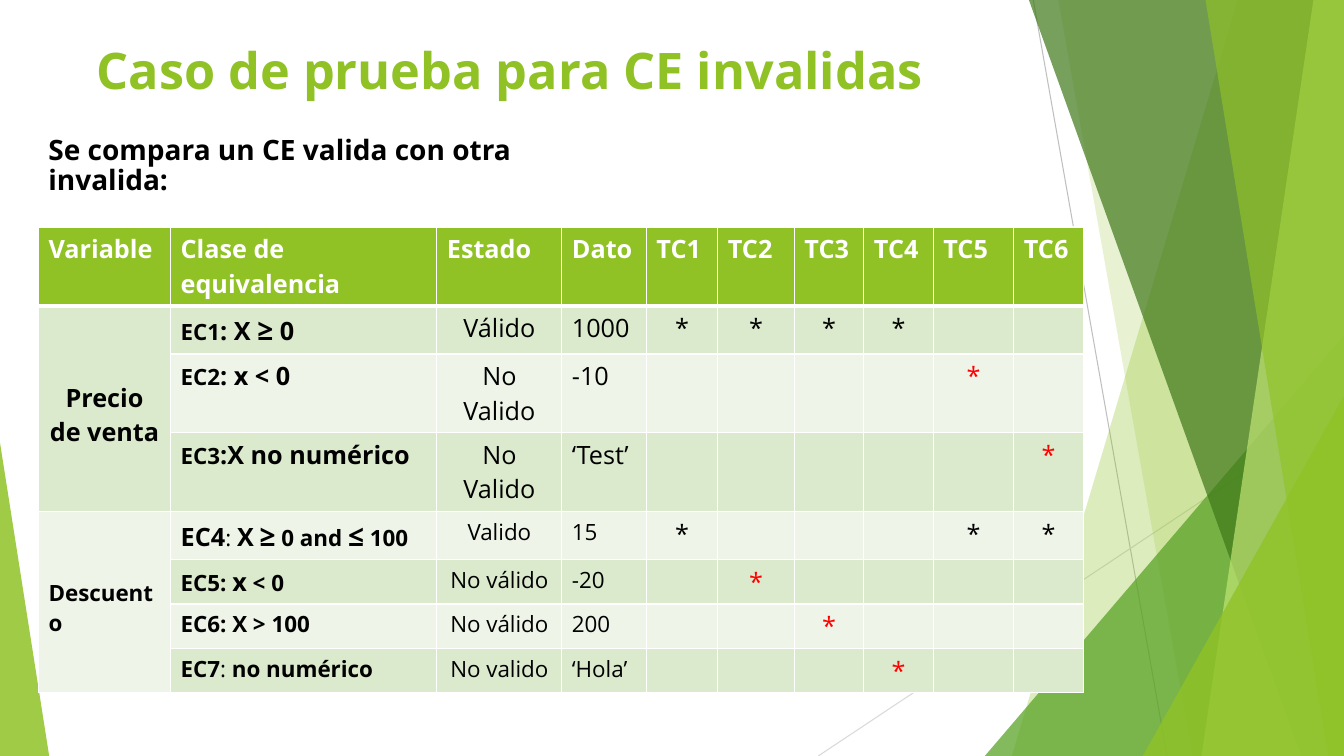
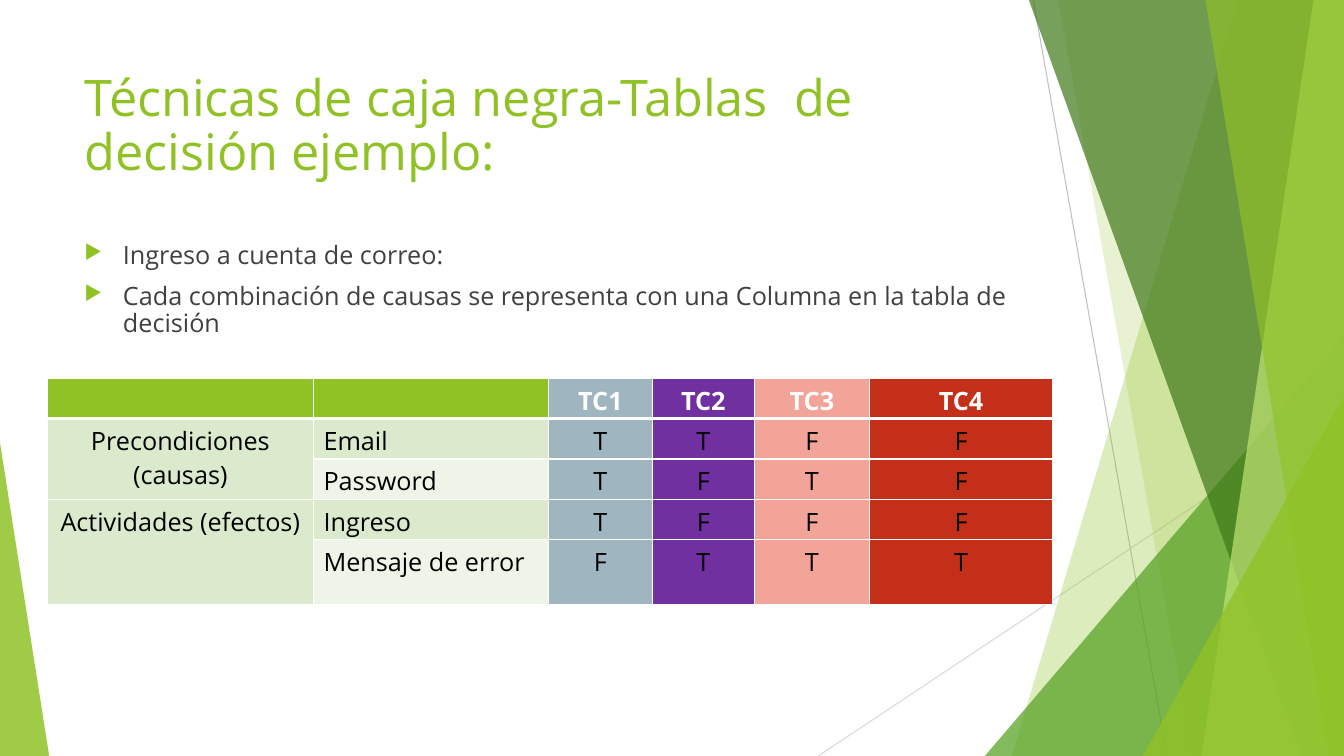
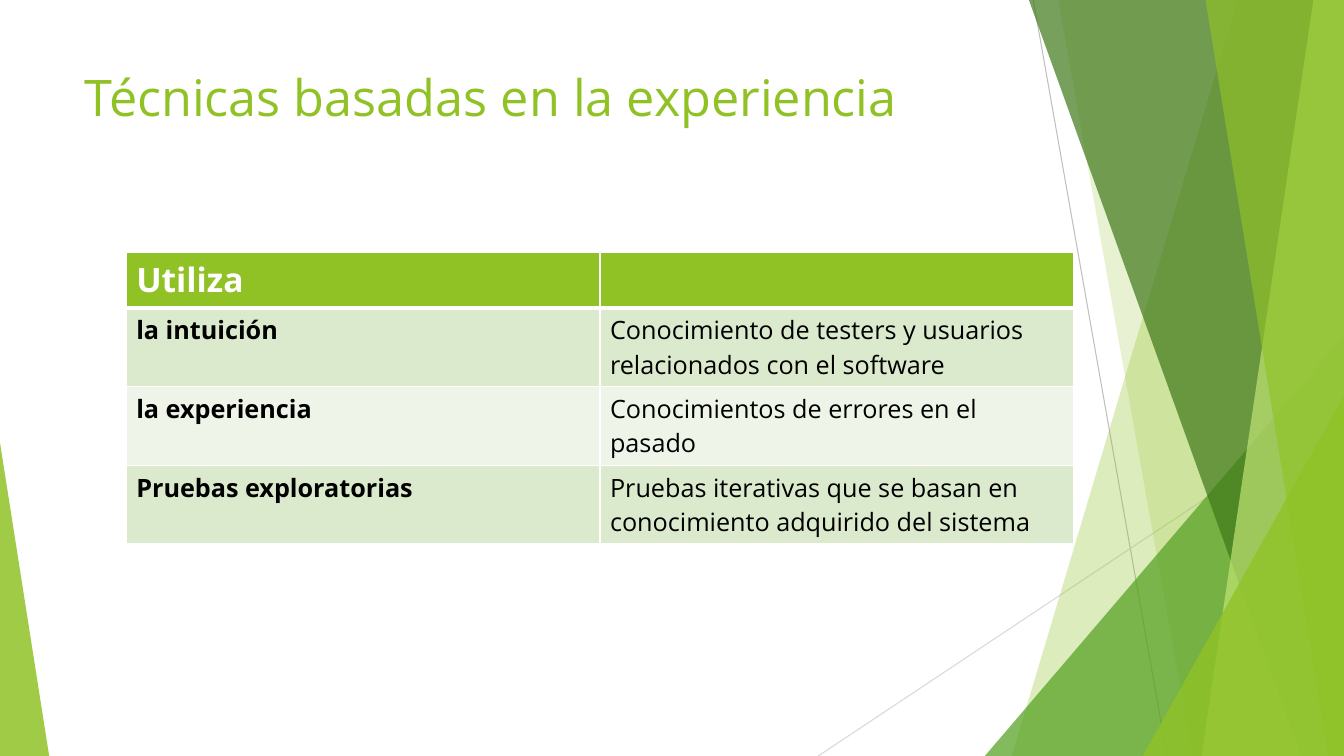
"""Builds three slides on black-box and experience-based testing techniques."""
from lxml.etree import SubElement
from pptx import Presentation
from pptx.dml.color import RGBColor
from pptx.enum.shapes import MSO_CONNECTOR as Connector, MSO_SHAPE as Shape
from pptx.enum.text import MSO_ANCHOR as Anchor, MSO_AUTO_SIZE as AutoSize, PP_ALIGN as Align
from pptx.oxml.ns import qn
from pptx.util import Cm, Pt

FONT = "Open Sans"
WIDTH, HEIGHT = 33.87, 19.05
GREEN = RGBColor(0x90, 0xC2, 0x26)
LEAF = RGBColor(0x54, 0xA0, 0x21)
FOREST = RGBColor(0x3F, 0x78, 0x19)
LIME = RGBColor(0xC0, 0xE4, 0x74)
BAND_DARK = RGBColor(0xDB, 0xE9, 0xCD)
BAND_LIGHT = RGBColor(0xEE, 0xF4, 0xE8)
GRAY_LINE = RGBColor(0xBF, 0xBF, 0xBF)
PALE_LINE = RGBColor(0xD9, 0xD9, 0xD9)
BODY_GRAY = RGBColor(0x40, 0x40, 0x40)
BLUE_GRAY = RGBColor(0x9F, 0xB6, 0xC0)
PURPLE = RGBColor(0x70, 0x30, 0xA0)
SALMON = RGBColor(0xF2, 0xA4, 0x99)
BRICK = RGBColor(0xC4, 0x2F, 0x1A)
RED = RGBColor(0xFF, 0x00, 0x00)
BLACK = RGBColor(0x00, 0x00, 0x00)
WHITE = RGBColor(0xFF, 0xFF, 0xFF)


def write(paragraph, text, size=18, color=BLACK, bold=False, align=Align.LEFT, spacing=None):
    run = paragraph.add_run()
    run.text = text
    run.font.name = FONT
    run.font.size = Pt(size)
    run.font.bold = bold
    run.font.color.rgb = color
    paragraph.alignment = align
    if spacing:
        paragraph.line_spacing = spacing


def styled(text, **style):
    return text, style


def add_border(cell, side, points):
    line = SubElement(cell._tc.get_or_add_tcPr(), qn(f"a:ln{side}"), w=str(Pt(points)))
    fill = SubElement(line, qn("a:solidFill"))
    SubElement(fill, qn("a:srgbClr"), val=str(WHITE))


class Deck:
    """Holds the shared style and the current slide."""

    def __init__(self):
        self.presentation = Presentation()
        self.presentation.slide_width = Cm(WIDTH)
        self.presentation.slide_height = Cm(HEIGHT)
        self.layout = self.presentation.slide_layouts.get_by_name("Title Only")

    def start_slide(self, title, left, top, height, bold=False):
        self.slide = self.presentation.slides.add_slide(self.layout)
        self.shapes = self.slide.shapes
        self.scenery()
        heading = self.shapes.title
        self.shapes._spTree.append(heading._element)
        heading.left, heading.top = Cm(left), Cm(top)
        heading.width, heading.height = Cm(23.88), Cm(height)
        frame = heading.text_frame
        frame.word_wrap = True
        frame.auto_size = AutoSize.NONE
        frame.vertical_anchor = Anchor.TOP
        write(frame.paragraphs[0], title, size=36, color=GREEN, bold=bold, spacing=0.9)

    def scenery(self):
        self.line(26.04, 0, 29.41, HEIGHT, GRAY_LINE)
        self.line(WIDTH, 10.24, 20.62, HEIGHT, PALE_LINE)
        self.blade(31.19, 25.5, GREEN, 30)
        self.blade(26.67, 30.05, GREEN, 20)
        self.triangle(24.82, 8.46, 9.05, 1, LEAF, 72)
        self.blade(25.93, 32.79, FOREST, 70)
        self.blade(33.1, 30.28, LIME, 70)
        self.blade(30.38, 33.48, GREEN, 65)
        self.triangle(28.8, 9.98, 5.07, 1, GREEN, 80)
        self.triangle(0, 11.15, 1.24, 0, GREEN, 85)

    def line(self, x1, y1, x2, y2, color):
        ray = self.shapes.add_connector(Connector.STRAIGHT, Cm(x1), Cm(y1), Cm(x2), Cm(y2))
        ray.line.color.rgb = color
        ray.line.width = Pt(0.75)
        SubElement(ray._element.spPr, qn("a:effectLst"))

    def tint(self, shape, color, opacity):
        shape.shadow.inherit = False
        shape.line.fill.background()
        shape.fill.solid()
        shape.fill.fore_color.rgb = color
        shade = shape._element.spPr.find(qn("a:solidFill"))[0]
        SubElement(shade, qn("a:alpha"), val=str(opacity * 1000))

    def blade(self, top_x, bottom_x, color, opacity):
        outline = self.shapes.build_freeform(Cm(top_x), 0)
        corners = [(WIDTH, 0), (WIDTH, HEIGHT), (bottom_x, HEIGHT)]
        outline.add_line_segments([(Cm(x), Cm(y)) for x, y in corners], close=True)
        self.tint(outline.convert_to_shape(), color, opacity)

    def triangle(self, left, top, width, apex, color, opacity):
        corner = self.shapes.add_shape(
            Shape.ISOSCELES_TRIANGLE, Cm(left), Cm(top), Cm(width), Cm(HEIGHT - top))
        corner.adjustments[0] = apex
        self.tint(corner, color, opacity)

    def text_box(self, left, top, width, height):
        frame = self.shapes.add_textbox(Cm(left), Cm(top), Cm(width), Cm(height)).text_frame
        frame.word_wrap = True
        return frame

    def note(self, text, left, top, width, height, **style):
        write(self.text_box(left, top, width, height).paragraphs[0], text, spacing=0.9, **style)

    def bullets(self, items, left, top, width, height):
        frame = self.text_box(left, top, width, height)
        for index, item in enumerate(items):
            paragraph = frame.add_paragraph() if index else frame.paragraphs[0]
            write(paragraph, item, color=BODY_GRAY, spacing=0.9)
            paragraph.space_before = Pt(10 if index else 0)
            layout = paragraph._p.get_or_add_pPr()
            layout.set("marL", str(Cm(0.97)))
            layout.set("indent", str(-Cm(0.97)))
            marker_color = SubElement(layout, qn("a:buClr"))
            SubElement(marker_color, qn("a:srgbClr"), val=str(GREEN))
            SubElement(layout, qn("a:buSzPct"), val="80000")
            SubElement(layout, qn("a:buChar"), char="▶")

    def table(self, rows, left, top, widths, heights, centered=(), header=None, tints=None):
        header = {"color": WHITE, "bold": True, **(header or {})}
        grid = self.shapes.add_table(
            len(rows), len(widths), Cm(left), Cm(top), Cm(sum(widths)), Cm(sum(heights))).table
        for column, width in zip(grid.columns, widths):
            column.width = Cm(width)
        for r, (row, height) in enumerate(zip(rows, heights)):
            grid.rows[r].height = Cm(height)
            for c, content in enumerate(row):
                cell = grid.cell(r, c)
                for side in "LRTB":
                    thick = (r, side) in ((0, "B"), (1, "T"))
                    add_border(cell, side, 3 if thick else 1)
                band = (BAND_DARK if r % 2 else BAND_LIGHT) if r else GREEN
                cell.fill.solid()
                cell.fill.fore_color.rgb = (tints or {}).get(c, band)
                base = {"align": Align.CENTER if r and c in centered else Align.LEFT}
                if r == 0:
                    base.update(header)
                runs = content if isinstance(content, list) else [content]
                for run in runs:
                    text, style = run if isinstance(run, tuple) else (run, {})
                    if text:
                        write(cell.text_frame.paragraphs[0], text, **{**base, **style})
        return grid


def class_row(variable, label, state, value, marks, size):
    star_color = BLACK if state.lower() == "valido" or state == "Válido" else RED
    stars = [styled("*", color=star_color) if case in marks else "" for case in range(1, 7)]
    return [variable, label, styled(state, size=size), styled(value, size=size), *stars]


def bold(text, size=16):
    return styled(text, size=size, bold=True)


deck = Deck()

deck.start_slide("Caso de prueba para CE invalidas", 2.18, 1.04, 1.93, bold=True)
test_cases = deck.table(
    [
        ["Variable", "Clase de equivalencia", "Estado", "Dato"] + [f"TC{n}" for n in range(1, 7)],
        class_row(bold("Precio de venta", 18),
                  [bold("EC1"), bold(": X ", 18), bold("≥", 20), bold(" 0", 18)],
                  "Válido", "1000", (1, 2, 3, 4), 18),
        class_row("", [bold("EC2"), bold(": x < 0", 18)], "No Valido", "-10", (5,), 18),
        class_row("", [bold("EC3"), bold(":X no numérico", 18)], "No Valido", "‘Test’", (6,), 18),
        class_row(styled("Descuento", size=16, bold=True, align=Align.LEFT),
                  [bold("EC4", 18), styled(": ", size=16), bold("X", 18), bold(" "),
                   bold("≥", 20), bold(" 0 and "), bold("≤", 20), bold(" 100")],
                  "Valido", "15", (1, 5, 6), 16),
        class_row("", [bold("EC5: "), bold("x", 18), bold(" < 0")], "No válido", "-20", (2,), 16),
        class_row("", bold("EC6: X > 100"), "No válido", "200", (3,), 16),
        class_row("", [bold("EC7"), styled(": ", size=16), bold("no numérico")],
                  "No valido", "‘Hola’", (4,), 16),
    ],
    0.97, 5.72, [3.33, 6.71, 3.15, 2.13, 1.8, 1.93, 1.75, 1.75, 2.03, 1.75],
    [1.02] + [1.04] * 7, centered=(0, 2, *range(4, 10)))
for first, last in ((1, 3), (4, 7)):
    variable = test_cases.cell(first, 0)
    variable.merge(test_cases.cell(last, 0))
    variable.vertical_anchor = Anchor.MIDDLE
    variable.margin_top = Cm(0.43)
deck.note("Se compara un CE valida con otra invalida:", 0.97, 3.3, 14.66, 1.12, size=20, bold=True)

deck.start_slide("Técnicas de caja negra-Tablas  de decisión ejemplo:", 1.88, 1.7, 3.66)
deck.bullets(
    ["Ingreso a cuenta de correo:",
     "Cada combinación de causas se representa con una Columna en la tabla de decisión"],
    1.88, 5.99, 23.88, 10.77)
decisions = deck.table(
    [
        ["", "", "TC1", "TC2", "TC3", "TC4"],
        ["Precondiciones (causas)", "Email", *"TTFF"],
        ["", "Password", *"TFTF"],
        ["Actividades (efectos)", "Ingreso", *"TFFF"],
        ["", "Mensaje de error", *"FTTT"],
    ],
    1.19, 9.53, [6.71, 5.92, 2.62, 2.57, 2.9, 4.62], [0.94] * 4 + [1.63],
    centered=(0, 2, 3, 4, 5), header={"align": Align.CENTER},
    tints={2: BLUE_GRAY, 3: PURPLE, 4: SALMON, 5: BRICK})
for first in (1, 3):
    decisions.cell(first, 0).merge(decisions.cell(first + 1, 0))

deck.start_slide("Técnicas basadas en la experiencia", 1.88, 1.7, 1.9)
deck.table(
    [
        ["Utiliza", ""],
        [bold("la intuición", 18),
         "Conocimiento de testers y usuarios relacionados con el software"],
        [bold("la experiencia", 18), "Conocimientos de errores en el pasado"],
        [bold("Pruebas exploratorias", 18),
         "Pruebas iterativas que se basan en conocimiento adquirido del sistema"],
    ],
    3.18, 6.35, [11.94] * 2, [1.04] * 4, header={"size": 24})

deck.presentation.save("out.pptx")
